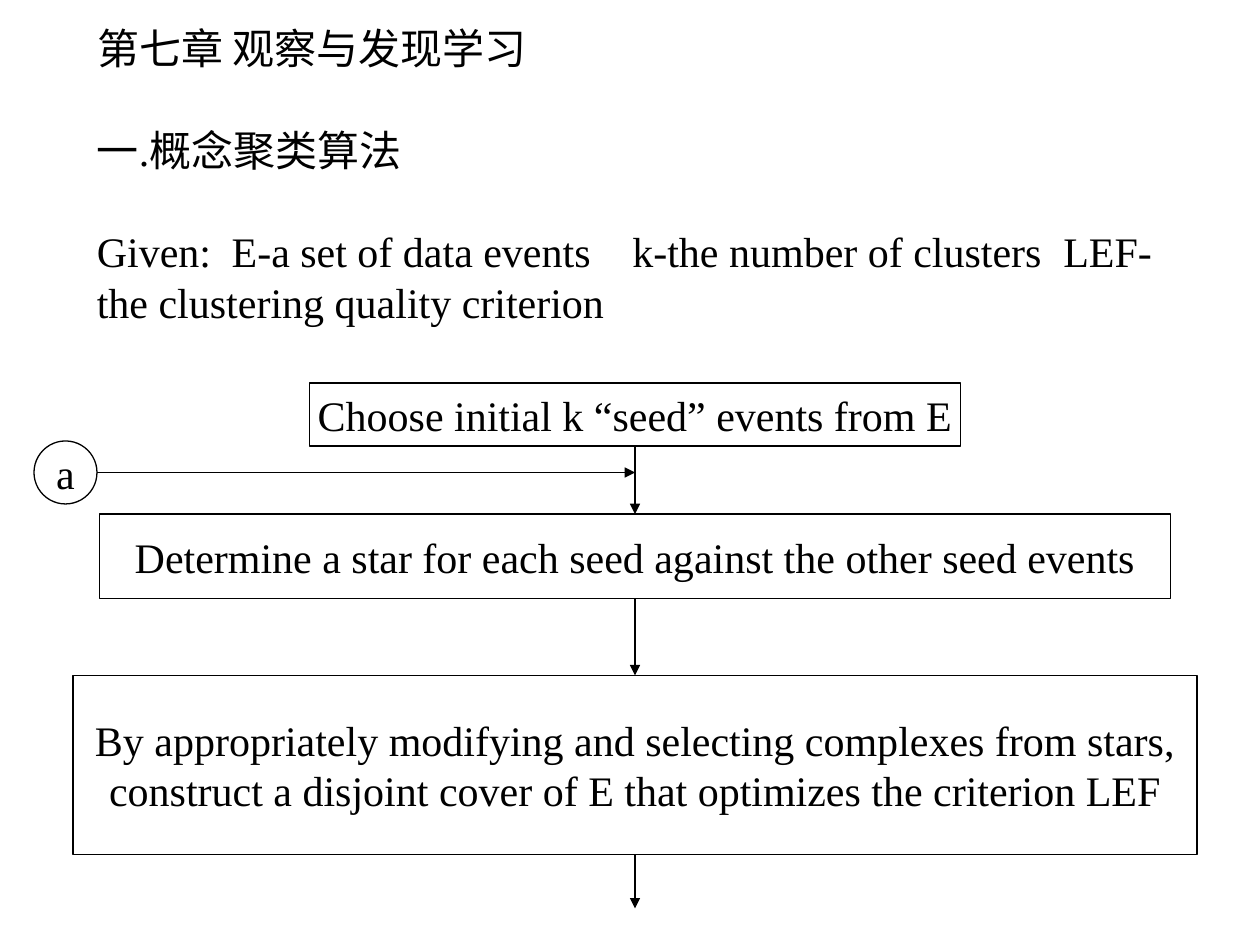
"""Build the concept clustering flow chart slide."""
from lxml.etree import SubElement
from pptx import Presentation
from pptx.dml.color import RGBColor
from pptx.enum.shapes import MSO_CONNECTOR, MSO_SHAPE
from pptx.enum.text import MSO_ANCHOR, MSO_AUTO_SIZE, PP_ALIGN
from pptx.oxml.ns import qn
from pptx.util import Inches, Pt

HUES = {"ink": "000000", "paper": "FFFFFF"}
INK = RGBColor.from_string(HUES["ink"])
PAPER = RGBColor.from_string(HUES["paper"])
MID = 5.04


def write(shape, text, align=PP_ALIGN.LEFT, anchor=MSO_ANCHOR.TOP, wrap=True, gap=0, tabs=()):
    frame = shape.text_frame
    frame.text = text
    frame.word_wrap = wrap
    frame.auto_size = MSO_AUTO_SIZE.NONE
    frame.vertical_anchor = anchor
    for rank, para in enumerate(frame.paragraphs):
        para.alignment = align
        para.space_before = Pt(gap if rank else 0)
        if tabs:
            stops = SubElement(para._p.get_or_add_pPr(), qn("a:tabLst"))
            for stop in tabs:
                SubElement(stops, qn("a:tab"), pos=str(Inches(stop)), algn="l")
        para.font.size = Pt(24)
        para.font.name = "Times New Roman"
        para.font.color.rgb = INK


def draw_arrow(left, top, right, low):
    line = slide.shapes.add_connector(
        MSO_CONNECTOR.STRAIGHT, Inches(left), Inches(top), Inches(right), Inches(low))
    line.line.color.rgb = INK
    line.line.width = Pt(0.75)
    SubElement(line.line._get_or_add_ln(), qn("a:tailEnd"), type="triangle")
    SubElement(line._element.spPr, qn("a:effectLst"))
    return line


deck = Presentation()
deck.slide_width, deck.slide_height = Inches(10), Inches(7.5)
slide = deck.slides.add_slide(deck.slide_layouts[5])

title = slide.shapes.title
title.left, title.top, title.width, title.height = map(Inches, (0.67, 0.13, 8.75, 0.5))
write(title, "第七章 观察与发现学习")

given = slide.shapes.add_textbox(Inches(0.67), Inches(0.94), Inches(8.75), Inches(1.7))
write(given, "一.概念聚类算法\n"
      "Given:\tE-a set of data events\tk-the number of clusters\t"
      "LEF-the clustering quality criterion", gap=29, tabs=(1.07, 4.25, 7.67))

process = MSO_SHAPE.FLOWCHART_PROCESS
nodes = [
    (process, MID, 3.04, 5.17, 0.5, "Choose initial k “seed” events from E"),
    (process, MID, 4.08, 8.5, 0.67,
     "Determine a star for each seed against the other seed events"),
    (process, MID, 5.36, 8.92, 1.42,
     "By appropriately modifying and selecting complexes from stars,\n"
     "construct a disjoint cover of E that optimizes the criterion LEF"),
    (MSO_SHAPE.FLOWCHART_CONNECTOR, 0.52, 3.5, 0.5, 0.5, "a"),
]
boxes = []
for kind, mid, top, width, height, text in nodes:
    box = slide.shapes.add_shape(
        kind, Inches(mid - width / 2), Inches(top), Inches(width), Inches(height))
    box.shadow.inherit = False
    box.fill.solid()
    box.fill.fore_color.rgb = PAPER
    box.line.color.rgb = INK
    box.line.width = Pt(0.75)
    write(box, text, align=PP_ALIGN.CENTER, anchor=MSO_ANCHOR.MIDDLE, wrap=False)
    boxes.append(box)

seed, star, cover, loop = boxes
for start, end in ((seed, star), (star, cover), (cover, None)):
    arrow = draw_arrow(MID, 6.78, MID, 7.21)
    arrow.begin_connect(start, 2)
    if end:
        arrow.end_connect(end, 0)
draw_arrow(0.77, 3.75, MID, 3.75)

deck.save("out.pptx")
